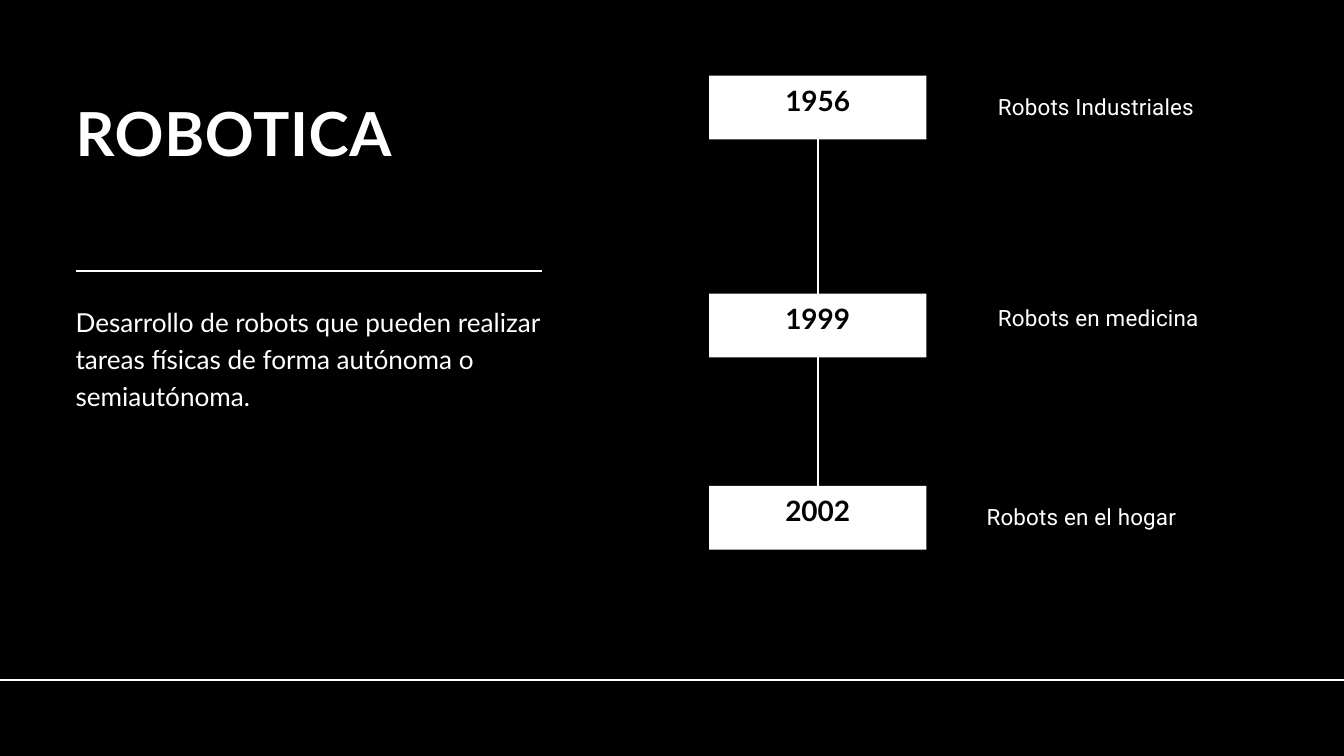
from pptx import Presentation
from pptx.dml.color import RGBColor
from pptx.enum.shapes import MSO_CONNECTOR, MSO_SHAPE
from pptx.enum.text import MSO_ANCHOR, PP_ALIGN
from pptx.oxml.ns import qn
from pptx.util import Cm, Pt
from lxml import etree

RECTANGLE = MSO_SHAPE.RECTANGLE
STRAIGHT = MSO_CONNECTOR.STRAIGHT
MIDDLE = MSO_ANCHOR.MIDDLE
CENTER = PP_ALIGN.CENTER
WHITE, BLACK = "FFFFFF", "000000"
RULE_WIDTH = Pt(2.25)
BOTTOM, TOP = 2, 0


def color(hex_code):
    return RGBColor.from_string(hex_code)


def write(shape, text, font, size, line_pt, hex_code=WHITE, bold=False, spacing=0, bottom=0):
    """Set one unpadded paragraph; spacing is in hundredths of a point."""
    frame = shape.text_frame
    frame.word_wrap = True
    frame.margin_left = frame.margin_right = frame.margin_top = 0
    frame.margin_bottom = Cm(bottom)
    paragraph = frame.paragraphs[0]
    paragraph.line_spacing = Pt(line_pt)
    run = paragraph.add_run()
    run.text = text
    run.font.name, run.font.size, run.font.bold = font, Pt(size), bold
    run.font.color.rgb = color(hex_code)
    if spacing:
        run._r.get_or_add_rPr().set("spc", str(spacing))


presentation = Presentation()
presentation.slide_width, presentation.slide_height = Cm(50.8), Cm(28.58)
slide = presentation.slides.add_slide(presentation.slide_layouts[6])
slide.background.fill.solid()
slide.background.fill.fore_color.rgb = color(BLACK)
shapes = slide.shapes

# Title and description
left = 2.86
title = shapes.add_textbox(Cm(left), Cm(3.78), Cm(20.5), Cm(2.64))
write(title, "ROBOTICA", "Lato", 65, 74.1, bold=True, spacing=70)
description = shapes.add_textbox(Cm(left), Cm(11.4), Cm(17.62), Cm(4.06))
write(description, "Desarrollo de robots que pueden realizar tareas físicas "
      "de forma autónoma o semiautónoma.", "Lato", 28, 39.2)
title_rule = shapes.add_connector(STRAIGHT, Cm(left), Cm(10.24), Cm(20.47), Cm(10.24))

# Timeline: year, top of its box, milestone, left and top of its label
milestones = [
    ("1956", 2.86, "Robots Industriales", 37.72, 3.56),
    ("1999", 11.1, "Robots en medicina", 37.72, 11.53),
    ("2002", 18.37, "Robots en el hogar", 37.29, 19.08),
]
year_boxes = []
for year, box_top, milestone, label_left, label_top in milestones:
    year_box = shapes.add_shape(RECTANGLE, Cm(26.8), Cm(box_top), Cm(8.22), Cm(2.41))
    year_box.shadow.inherit = False
    year_box.fill.solid()
    year_box.fill.fore_color.rgb = color(WHITE)
    year_box.line.fill.background()
    write(year_box, year, "Lato", 30, 42, BLACK, bold=True, bottom=0.75)
    year_box.text_frame.vertical_anchor = MIDDLE
    year_box.text_frame.paragraphs[0].alignment = CENTER
    year_boxes.append(year_box)

    label = shapes.add_textbox(Cm(label_left), Cm(label_top), Cm(10.24), Cm(1.02))
    write(label, milestone, "Roboto", 24, 27.4, spacing=20)

rules = [title_rule]
for earlier, later in zip(year_boxes, year_boxes[1:]):
    link = shapes.add_connector(STRAIGHT, 0, 0, 0, 0)
    link.begin_connect(later, TOP)
    link.end_connect(earlier, BOTTOM)
    rules.append(link)

for rule in rules:
    rule.line.color.rgb = color(WHITE)
    rule.line.width = RULE_WIDTH
    etree.SubElement(rule._element.spPr, qn("a:effectLst"))

# Footer band, running past the slide edges so only its top border shows
footer = shapes.add_shape(RECTANGLE, Cm(-0.46), Cm(25.7), Cm(51.72), Cm(3.89))
footer.shadow.inherit = False
footer.fill.solid()
footer.fill.fore_color.rgb = color(BLACK)
footer.line.color.rgb = color(WHITE)
footer.line.width = RULE_WIDTH

presentation.save("out.pptx")
